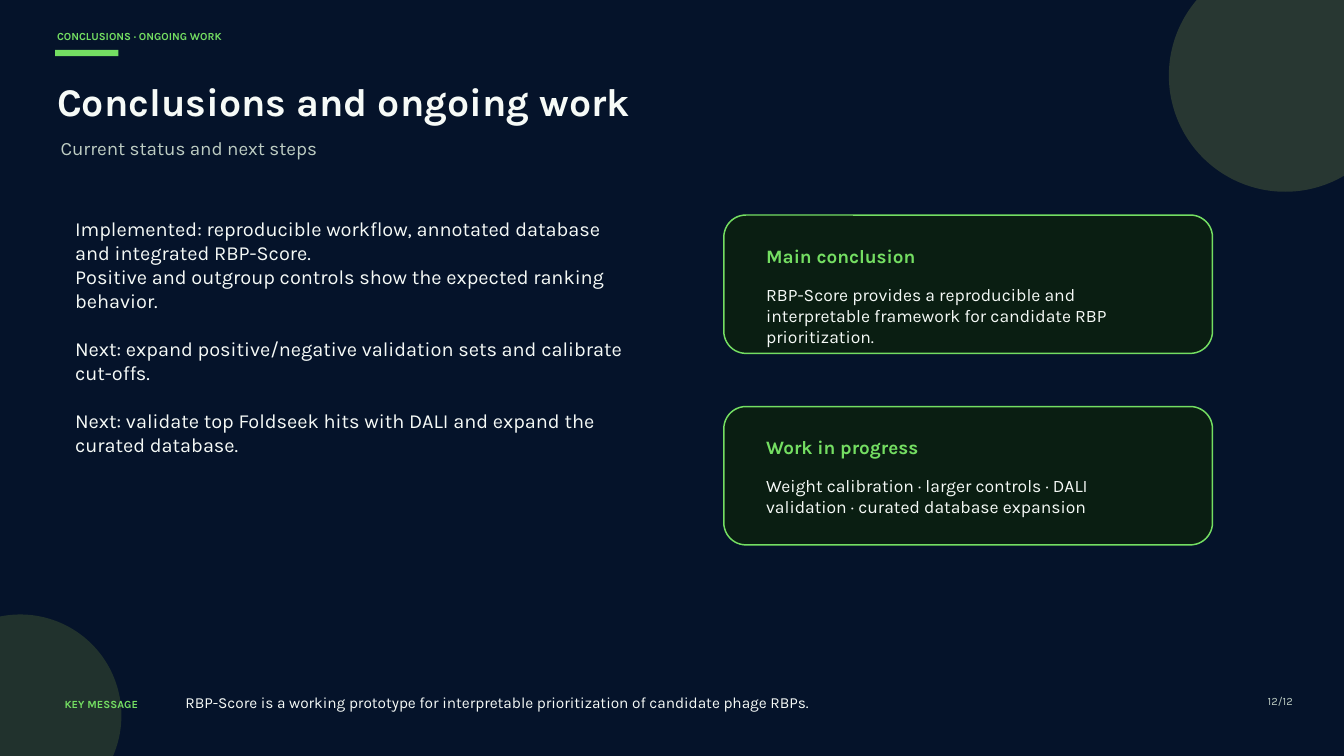
from pptx import Presentation
from pptx import util as u
from pptx.dml.color import RGBColor
from pptx.enum import shapes, text

FONT = "Karla"
COLORS = {
    "background": "05132A",
    "top circle": "283732",
    "bottom circle": "21322D",
    "card": "0A1E12",
    "accent": "74DE62",
    "body": "F6FAF7",
    "muted": "BECDC3",
}
STATUS = [
    "Implemented: reproducible workflow, annotated database and integrated RBP-Score.",
    "Positive and outgroup controls show the expected ranking behavior.",
    "Next: expand positive/negative validation sets and calibrate cut-offs.",
    "Next: validate top Foldseek hits with DALI and expand the curated database.",
]
CARDS = [
    (8.13, "Main conclusion",
     "RBP-Score provides a reproducible and interpretable framework "
     "for candidate RBP prioritization."),
    (15.37, "Work in progress",
     "Weight calibration · larger controls · DALI validation · "
     "curated database expansion"),
]


def color(name):
    return RGBColor.from_string(COLORS[name])


def place(shape, left, top, width, height):
    shape.left, shape.top = u.Cm(left), u.Cm(top)
    shape.width, shape.height = u.Cm(width), u.Cm(height)


def write(shape, lines, size, color_name, bold=False, align=text.PP_ALIGN.LEFT):
    """Fill a shape with paragraphs in one style, without insets."""
    frame = shape.text_frame
    frame.word_wrap = True
    frame.auto_size = text.MSO_AUTO_SIZE.NONE
    frame.vertical_anchor = text.MSO_ANCHOR.TOP
    frame.margin_left = frame.margin_right = 0
    frame.margin_top = frame.margin_bottom = 0
    frame.text = "\n".join(lines)
    for paragraph in frame.paragraphs:
        paragraph.alignment = align
        paragraph.line_spacing = u.Pt(round(size * 1.2, 1))
        paragraph.space_before = u.Pt(0)
        font = paragraph.font
        font.name, font.size, font.bold = FONT, u.Pt(size), bold
        font.color.rgb = color(color_name)
    return frame.paragraphs


def add_text(slide, box, lines, size, color_name, **style):
    shape = slide.shapes.add_textbox(0, 0, 0, 0)
    place(shape, *box)
    return write(shape, lines, size, color_name, **style)


def add_block(slide, kind, box, fill, line=None):
    shape = slide.shapes.add_shape(kind, *[u.Cm(length) for length in box])
    shape.shadow.inherit = False
    shape.fill.solid()
    shape.fill.fore_color.rgb = color(fill)
    if line:
        shape.line.color.rgb = color(line)
        shape.line.width = u.Pt(1.6)
    else:
        shape.line.fill.background()
    return shape


def add_card(slide, top, heading, body):
    card = add_block(slide, shapes.MSO_SHAPE.ROUNDED_RECTANGLE,
                     (27.36, top, 18.47, 5.23), "card", "accent")
    card.adjustments[0] = 0.16
    add_text(slide, (28.96, top + 1.11, 15.3, 0.84), [heading], 20.3, "accent", bold=True)
    add_text(slide, (28.96, top + 2.59, 15.3, 1.57), [body], 18.8, "body")


def add_background(slide):
    slide.background.fill.solid()
    slide.background.fill.fore_color.rgb = color("background")
    oval = shapes.MSO_SHAPE.OVAL
    add_block(slide, oval, (44.18, -1.54, 8.79, 8.79), "top circle")
    add_block(slide, oval, (-3.06, 23.23, 7.65, 7.65), "bottom circle")


def add_header(slide):
    add_block(slide, shapes.MSO_SHAPE.RECTANGLE, (2.08, 1.89, 2.4, 0.23), "accent")
    add_text(slide, (2.16, 1.12, 17, 0.66), ["CONCLUSIONS · ONGOING WORK"],
             11.6, "accent", bold=True)
    title = slide.shapes.title
    place(title, 2.16, 2.92, 41, 2.11)
    write(title, ["Conclusions and ongoing work"], 42, "body", bold=True)
    add_text(slide, (2.29, 5.16, 42.5, 1.35), ["Current status and next steps"],
             20.2, "muted")


def add_status(slide):
    paragraphs = add_text(slide, (2.84, 8.2, 20.68, 8.97), STATUS, 21.4, "body")
    for next_step in paragraphs[2:]:
        next_step.space_before = u.Pt(25.7)


def add_footer(slide):
    add_text(slide, (2.44, 26.39, 5.38, 0.61), ["KEY MESSAGE"], 11.7, "accent", bold=True)
    add_text(slide, (7.01, 26.19, 38, 0.69),
             ["RBP-Score is a working prototype for interpretable prioritization "
              "of candidate phage RBPs."], 16.5, "body")
    add_text(slide, (46.36, 26.26, 2.51, 0.58), ["12/12"], 12, "muted",
             align=text.PP_ALIGN.RIGHT)


def main():
    presentation = Presentation()
    presentation.slide_width, presentation.slide_height = u.Cm(50.8), u.Cm(28.58)
    slide = presentation.slides.add_slide(presentation.slide_layouts[5])
    add_background(slide)
    add_header(slide)
    add_status(slide)
    for card in CARDS:
        add_card(slide, *card)
    add_footer(slide)
    presentation.save("out.pptx")


if __name__ == "__main__":
    main()
